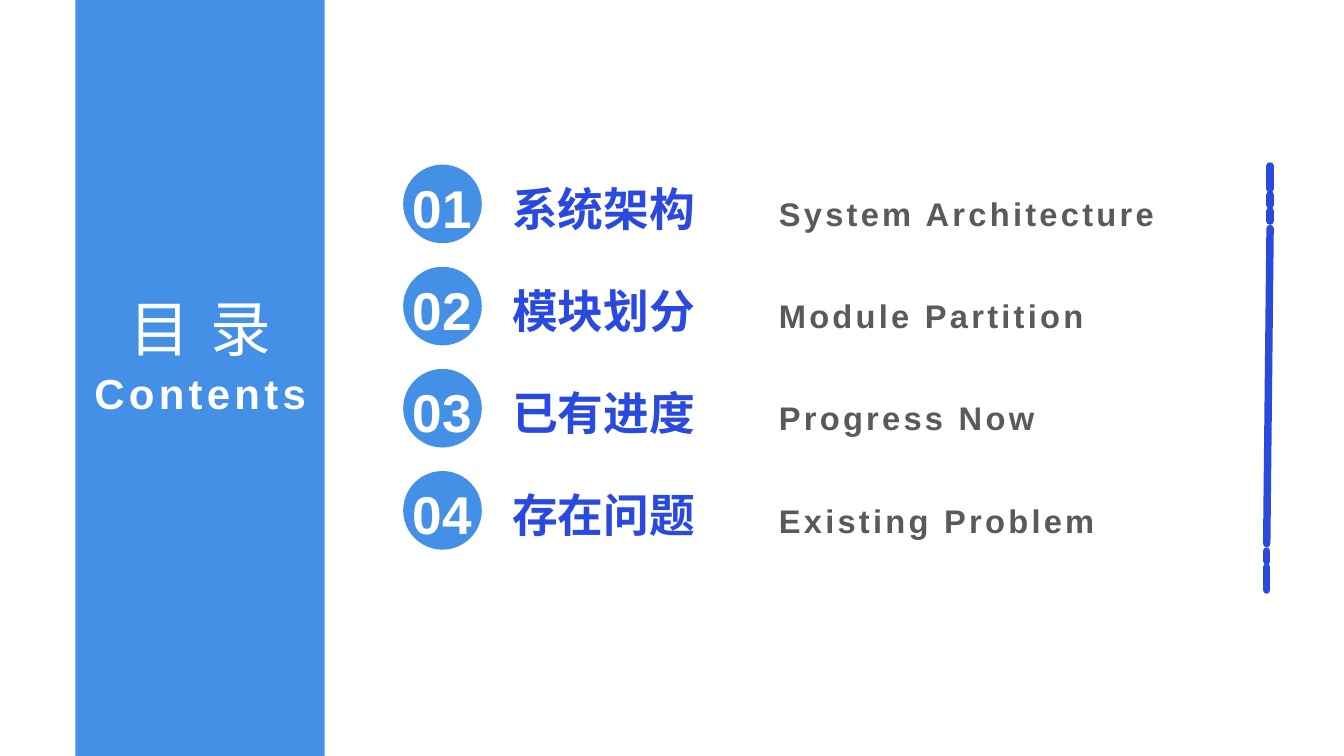
"""Build a contents slide with a title band, four numbered topics and a dashed rule."""
from lxml import etree
from pptx import Presentation
from pptx.dml.color import RGBColor
from pptx.enum.shapes import MSO_CONNECTOR, MSO_SHAPE
from pptx.enum.text import MSO_ANCHOR, MSO_AUTO_SIZE, PP_ALIGN
from pptx.oxml.ns import qn
from pptx.util import Inches, Pt

STRAIGHT = MSO_CONNECTOR.STRAIGHT
RECTANGLE, OVAL = MSO_SHAPE.RECTANGLE, MSO_SHAPE.OVAL
CENTER, JUSTIFY = PP_ALIGN.CENTER, PP_ALIGN.JUSTIFY
TOP, GROW = MSO_ANCHOR.TOP, MSO_AUTO_SIZE.SHAPE_TO_FIT_TEXT

SKY = RGBColor(0x45, 0x90, 0xE7)
ROYAL = RGBColor(0x2A, 0x4A, 0xDF)
GREY = RGBColor(0x5A, 0x5A, 0x5A)
WHITE = RGBColor(0xFF, 0xFF, 0xFF)

deck = Presentation()
deck.slide_width, deck.slide_height = Inches(20), Inches(11.25)
COLUMN = deck.slide_width / 20
ROW = deck.slide_height / 11.25
slide = deck.slides.add_slide(deck.slide_layouts[5])


def add_block(kind, left, top, width, height):
    block = slide.shapes.add_shape(
        kind, int(left * COLUMN), int(top * ROW), int(width * COLUMN), int(height * ROW))
    block.shadow.inherit = False
    block.fill.solid()
    block.fill.fore_color.rgb = SKY
    block.line.fill.background()
    return block


def write(holder, place, text, size, color, align, bold=True, spacing=0):
    left, top, width, height = place
    holder.left, holder.top = int(left * COLUMN), int(top * ROW)
    holder.width, holder.height = int(width * COLUMN), int(height * ROW)
    frame = holder.text_frame
    frame.word_wrap, frame.auto_size, frame.vertical_anchor = True, GROW, TOP
    frame.margin_left = frame.margin_right = frame.margin_top = frame.margin_bottom = 0
    paragraph = frame.paragraphs[0]
    paragraph.alignment = align
    paragraph.line_spacing = Pt(size * 1.4)
    run = paragraph.add_run()
    run.text = text
    run.font.name, run.font.size, run.font.bold = "Arial", Pt(size), bold
    run.font.color.rgb = color
    run.font._element.set("spc", str(round(spacing * 100)))


band = add_block(RECTANGLE, 1.12, -0.26, 3.71, 11.77)
heading = slide.shapes.title
heading.element.addprevious(band.element)
write(heading, (1.63, 4.14, 2.69, 1.15), "目录", 65, WHITE, CENTER, False, 21.8)

RULE = [
    (18.9, 3.4, 18.85, 8.09),
    (18.85, 8.44, 18.85, 8.78),
    (18.85, 8.2, 18.85, 8.35),
    (18.9, 3.14, 18.9, 3.29),
    (18.9, 2.9, 18.9, 3.05),
    (18.9, 2.47, 18.9, 2.81),
]
for start_x, start_y, end_x, end_y in RULE:
    dash = slide.shapes.add_connector(
        STRAIGHT, int(start_x * COLUMN), int(start_y * ROW), int(end_x * COLUMN), int(end_y * ROW))
    dash.line.color.rgb = ROYAL
    dash.line.width = Pt(8)
    dash.line._get_or_add_ln().set("cap", "rnd")
    etree.SubElement(dash.element.spPr, qn("a:effectLst"))

subtitle = slide.shapes.add_textbox(0, 0, 0, 0)
write(subtitle, (1.27, 5.34, 3.42, 0.81), "Contents", 45, WHITE, CENTER, True, 4.6)

TOPICS = [
    ("系统架构", "System Architecture"),
    ("模块划分", "Module Partition"),
    ("已有进度", "Progress Now"),
    ("存在问题", "Existing Problem"),
]
FIRST_TOP, PITCH, DISC = 2.45, 1.52, 1.17
for index, (topic, translation) in enumerate(TOPICS):
    top = FIRST_TOP + index * PITCH
    add_block(OVAL, 6, top, DISC, DISC)
    cells = [
        ((6, top, DISC, 1.02), f"{index + 1:02d}", 57, WHITE, CENTER, True, 0),
        ((7.62, top + 0.1, 3.53, 0.88), topic, 49, ROYAL, JUSTIFY, True, 0),
        ((11.59, top + 0.34, 6.5, 0.63), translation, 35, GREY, JUSTIFY, True, 3.5),
    ]
    for cell in cells:
        write(slide.shapes.add_textbox(0, 0, 0, 0), *cell)

deck.save("out.pptx")
